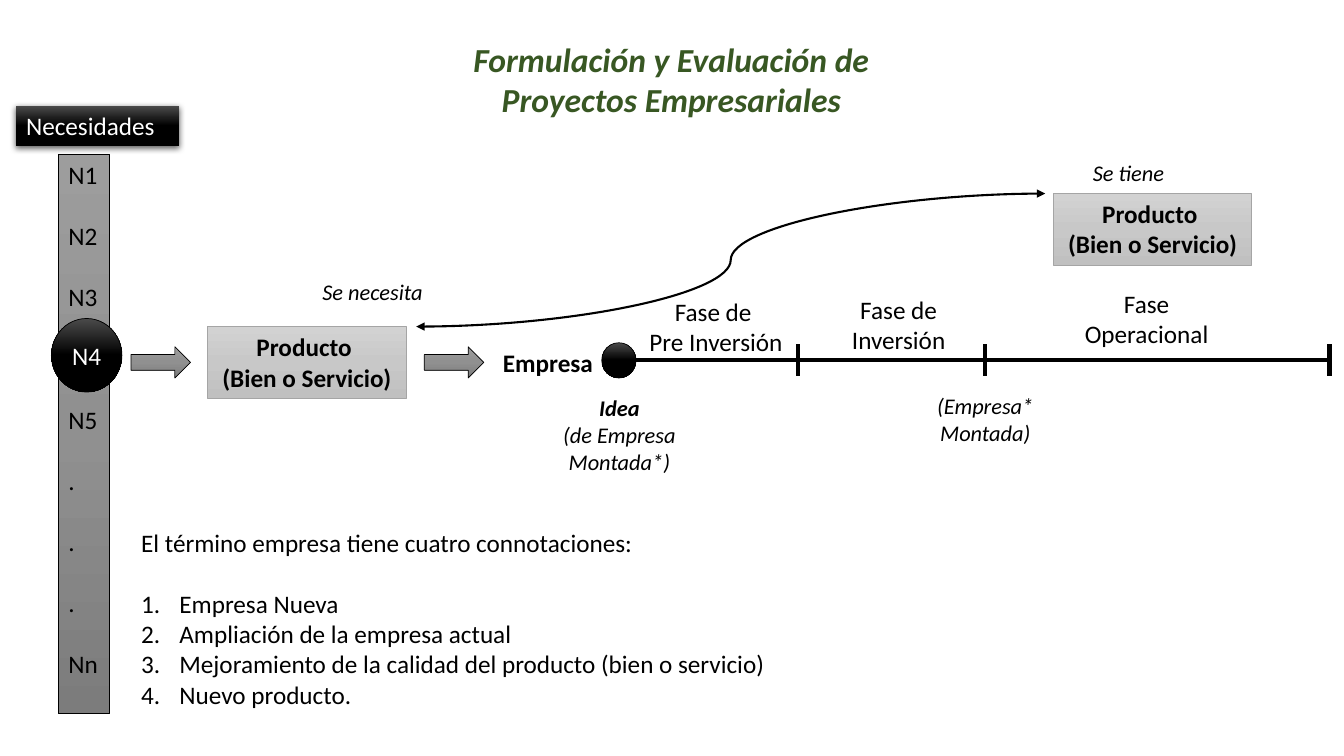
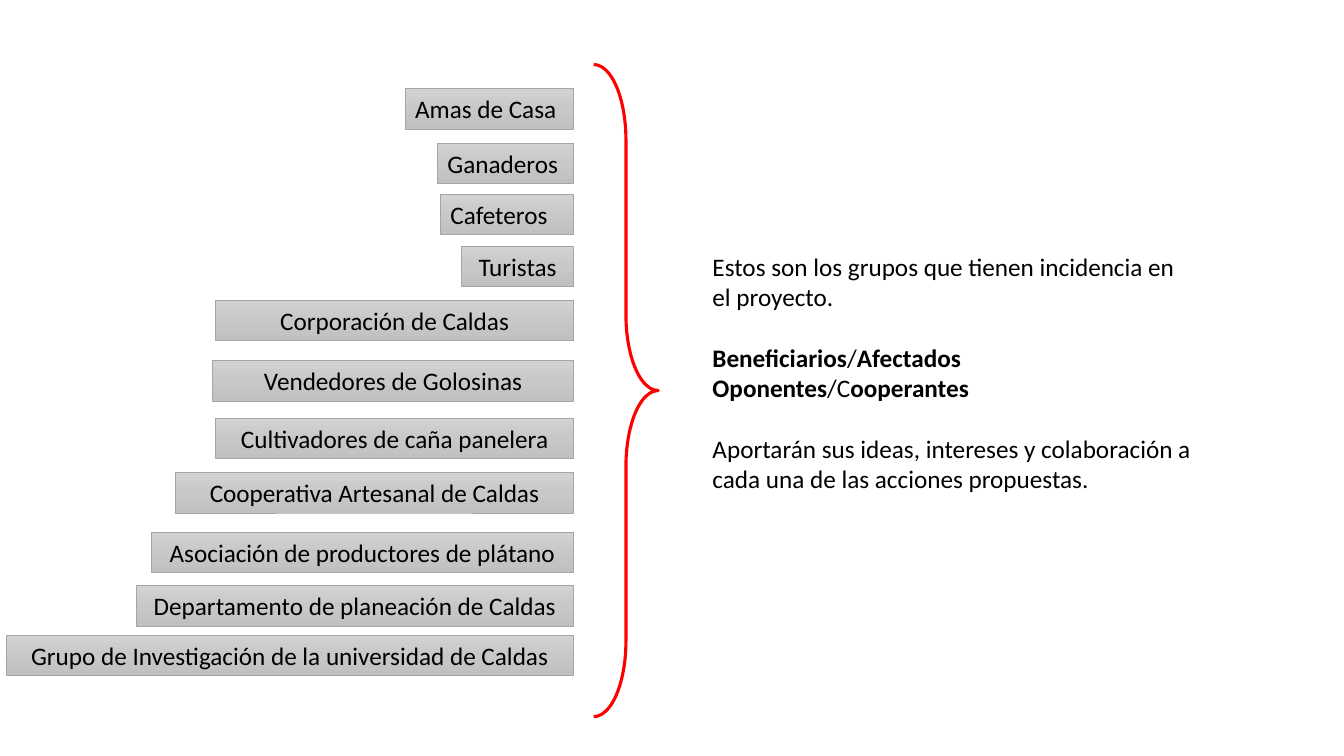
from copy import deepcopy
from dataclasses import dataclass, replace

from lxml.etree import SubElement
from pptx import Presentation
from pptx.dml.color import RGBColor
from pptx.enum.shapes import MSO_CONNECTOR as Link, MSO_SHAPE as Preset
from pptx.enum.text import MSO_ANCHOR as Anchor, MSO_AUTO_SIZE as AutoSize, PP_ALIGN as Align
from pptx.oxml.ns import qn
from pptx.util import Inches, Pt

COLUMNS = 40
ROWS = 22.5
CELL = Inches(1) / 3


@dataclass(frozen=True)
class Theme:
    font: str = "Calibri"
    title_size: int = 24
    text_size: int = 18
    note_size: int = 16
    line_gap: int = 22
    ink: str = "000000"
    paper: str = "FFFFFF"
    title: str = "385723"
    brace: str = "FF0000"
    box_edge: str = "A5A5A5"
    black: tuple = ("4B4B4B", "000000", "000000")
    gray: tuple = ("9D9D9D", "909090", "7C7C7C")
    silver: tuple = ("D2D2D2", "C8C8C8", "C0C0C0")


THEME = Theme()


@dataclass(frozen=True)
class Style:
    size: int = THEME.text_size
    color: str = THEME.ink
    bold: bool = False
    italic: bool = False
    align: Align = Align.LEFT
    anchor: Anchor = Anchor.TOP


@dataclass(frozen=True)
class Line:
    runs: tuple
    before: int = 0


PLAIN = Style()
CENTERED = Style(align=Align.CENTER)
STRONG = replace(CENTERED, bold=True)
NOTE = replace(CENTERED, size=THEME.note_size, italic=True)
TITLE = replace(NOTE, size=THEME.title_size, color=THEME.title, bold=True, anchor=Anchor.MIDDLE)
INVERSE = Style(color=THEME.paper)

PRODUCT = ("Producto ", "(Bien o Servicio)")
NEEDS = ("N1", "N2", "N3", "N5", ".", ".", ".", "Nn")
PHASES = (
    (18.75, 8.67, ("Fase de", " Pre Inversión")),
    (24.27, 8.61, ("Fase de", "Inversión")),
    (31.65, 8.43, ("Fase Operacional",)),
)
NOTES = (
    (8.61, 8.13, 1.11, ("Se necesita",)),
    (26.85, 11.52, 1.92, ("(Empresa*", "Montada)")),
    (31.11, 4.59, 1.11, ("Se tiene",)),
    (15.96, 11.58, 2.73, (Line((("Idea", True),)), "(de Empresa", "Montada*)")),
)
MEANINGS = (
    "Empresa Nueva",
    "Ampliación de la empresa actual",
    "Mejoramiento de la calidad del producto (bien o servicio)",
    "Nuevo producto.",
)
GROUPS = (
    ("Amas de Casa", 2.64, 5.01, PLAIN),
    ("Ganaderos", 4.26, 4.05, PLAIN),
    ("Cafeteros", 5.79, 3.96, PLAIN),
    ("Turistas", 7.32, 3.33, CENTERED),
    ("Corporación de Caldas", 8.94, 10.65, CENTERED),
    ("Vendedores de Golosinas", 10.74, 10.74, CENTERED),
    ("Cultivadores de caña panelera", 12.45, 10.65, CENTERED),
    ("Cooperativa Artesanal de Caldas", 14.07, 11.85, CENTERED),
    ("Asociación de productores de plátano", 15.84, 12.57, CENTERED),
    ("Departamento de planeación de Caldas", 17.43, 13.02, CENTERED),
    ("Grupo de Investigación de la universidad de Caldas", 18.9, 16.89, CENTERED),
)
INVOLVEMENT = (
    "Estos son los grupos que tienen incidencia en el proyecto.",
    Line((("Beneficiarios", True), ("/", False), ("Afectados", True)), THEME.line_gap),
    Line((("Oponentes", True), ("/C", False), ("ooperantes", True))),
    Line(
        (("Aportarán sus ideas, intereses y colaboración a cada una de las acciones propuestas.", False),),
        THEME.line_gap,
    ),
)


def rgb(code):
    return RGBColor.from_string(code)


def grid(*cells):
    return [round(cell * CELL) for cell in cells]


def write(frame, lines, style):
    frame.word_wrap = True
    frame.auto_size = AutoSize.NONE
    frame.vertical_anchor = style.anchor
    for position, line in enumerate(lines):
        if isinstance(line, str):
            line = Line(((line, style.bold),))
        paragraph = frame.add_paragraph() if position else frame.paragraphs[0]
        paragraph.alignment = style.align
        paragraph.space_before = Pt(line.before)
        for text, bold in line.runs:
            run = paragraph.add_run()
            run.text = text
            run.font.name = THEME.font
            run.font.size = Pt(style.size)
            run.font.bold = bold
            run.font.italic = style.italic
            run.font.color.rgb = rgb(style.color)


def add_label(slide, area, lines, style):
    write(slide.shapes.add_textbox(*grid(*area)).text_frame, lines, style)


def shade(shape, colors):
    shape.fill.gradient()
    stops = shape._element.spPr.find(qn("a:gradFill")).find(qn("a:gsLst"))
    stops.insert(1, deepcopy(stops[0]))
    for stop, color, position in zip(shape.fill.gradient_stops, colors, (0, 0.5, 1)):
        stop.color.rgb = rgb(color)
        stop.position = position
    shape.fill.gradient_angle = 270


def add_figure(slide, preset, area, colors=None, edge=None, weight=0.5):
    shape = slide.shapes.add_shape(preset, *grid(*area))
    shape.shadow.inherit = False
    if colors:
        shade(shape, colors)
    else:
        shape.fill.background()
    if edge:
        shape.line.color.rgb = rgb(edge)
        shape.line.width = Pt(weight)
    else:
        shape.line.fill.background()
    return shape


def add_box(slide, area, lines, style):
    box = add_figure(slide, Preset.RECTANGLE, area, THEME.silver, THEME.box_edge)
    write(box.text_frame, lines, style)


def cast_shadow(shape):
    effects = shape._element.spPr.find(qn("a:effectLst"))
    shadow = SubElement(
        effects, qn("a:outerShdw"), blurRad=str(Pt(4.5)), dist=str(Pt(1.5)), dir="5400000", rotWithShape="0"
    )
    color = SubElement(shadow, qn("a:srgbClr"), val=THEME.ink)
    SubElement(color, qn("a:alpha"), val="63000")


def add_stroke(slide, ends, weight, kind=Link.STRAIGHT, arrows=False):
    stroke = slide.shapes.add_connector(kind, *grid(*ends))
    stroke.line.color.rgb = rgb(THEME.ink)
    stroke.line.width = Pt(weight)
    if arrows:
        outline = stroke.line._get_or_add_ln()
        for end in ("a:headEnd", "a:tailEnd"):
            SubElement(outline, qn(end), type="triangle")
    SubElement(stroke._element.spPr, qn("a:effectLst"))


def fill_placeholder(placeholder, area, lines, style):
    placeholder.left, placeholder.top, placeholder.width, placeholder.height = grid(*area)
    write(placeholder.text_frame, lines, style)


def set_bullet(paragraph, numbered):
    properties = paragraph._p.get_or_add_pPr()
    indent = Inches(0.38) if numbered else 0
    properties.set("marL", str(indent))
    properties.set("indent", str(-indent))
    if numbered:
        SubElement(properties, qn("a:buFont"), typeface="+mj-lt")
        SubElement(properties, qn("a:buAutoNum"), type="arabicPeriod")
    else:
        SubElement(properties, qn("a:buNone"))


def add_needs(slide):
    heading = add_figure(slide, Preset.RECTANGLE, (0.48, 3.15, 4.86, 1.2), THEME.black)
    cast_shadow(heading)
    write(heading.text_frame, ("Necesidades",), INVERSE)

    strip = add_figure(slide, Preset.RECTANGLE, (1.74, 4.59, 1.53, 16.65), THEME.gray, THEME.ink)
    gaps = {"N1": 0, "N5": 3 * THEME.line_gap}
    needs = [Line(((need, False),), gaps.get(need, THEME.line_gap)) for need in NEEDS]
    write(strip.text_frame, needs, PLAIN)

    chosen = add_figure(slide, Preset.OVAL, (1.53, 9.48, 2.1, 2.19), THEME.black, THEME.ink)
    write(chosen.text_frame, ("N4",), replace(INVERSE, align=Align.CENTER, anchor=Anchor.MIDDLE))


def add_timeline(slide):
    axis, half_tick, finish = 10.72, 0.48, 39.57
    add_label(slide, (14.67, 10.2, 3.45, 1.2), ("Empresa",), replace(PLAIN, bold=True))
    add_figure(slide, Preset.OVAL, (17.91, 10.2, 1.02, 1.05), THEME.black, THEME.ink)
    add_stroke(slide, (18.93, axis, finish, axis), 3)
    for tick in (23.76, 29.31, finish):
        add_stroke(slide, (tick, axis - half_tick, tick, axis + half_tick), 3)
    for left, top, phase in PHASES:
        add_label(slide, (left, top, 4.95, 2.13), phase, CENTERED)


def build_process(deck):
    slide = deck.slides.add_slide(deck.slide_layouts[1])
    heading, meanings = slide.placeholders
    fill_placeholder(
        heading,
        (13.11, 0.99, 13.74, 2.73),
        ("Formulación y Evaluación de Proyectos Empresariales",),
        TITLE,
    )
    first = Line(((MEANINGS[0], False),), THEME.line_gap)
    fill_placeholder(
        meanings,
        (3.9, 15.54, 35.67, 5.76),
        ("El término empresa tiene cuatro connotaciones:", first, *MEANINGS[1:]),
        PLAIN,
    )
    for position, paragraph in enumerate(meanings.text_frame.paragraphs):
        set_bullet(paragraph, position > 0)

    add_needs(slide)
    for left in (3.9, 12.63):
        add_figure(slide, Preset.RIGHT_ARROW, (left, 10.32, 1.77, 0.93), THEME.gray, THEME.ink)
    for left, top in ((6.18, 9.72), (31.35, 5.76)):
        add_box(slide, (left, top, 5.91, 2.13), PRODUCT, STRONG)
    add_timeline(slide)
    add_stroke(slide, (31.11, 5.76, 12.39, 9.72), 1.5, Link.CURVE, arrows=True)
    for left, top, height, note in NOTES:
        add_label(slide, (left, top, 4.95, height), note, NOTE)


def build_groups(deck):
    slide = deck.slides.add_slide(deck.slide_layouts[6])
    right_edge = 17.07
    for group, top, width, style in GROUPS:
        add_box(slide, (right_edge - width, top, width, 1.2), (group,), style)
    brace = add_figure(
        slide, Preset.RIGHT_BRACE, (17.67, 1.92, 1.92, 19.41), edge=THEME.brace, weight=2.25
    )
    brace.adjustments[0] = 1.17
    add_label(slide, (20.91, 7.32, 14.88, 7.56), INVOLVEMENT, PLAIN)


def main():
    deck = Presentation()
    deck.slide_width, deck.slide_height = grid(COLUMNS, ROWS)
    build_process(deck)
    build_groups(deck)
    deck.save("out.pptx")


if __name__ == "__main__":
    main()
